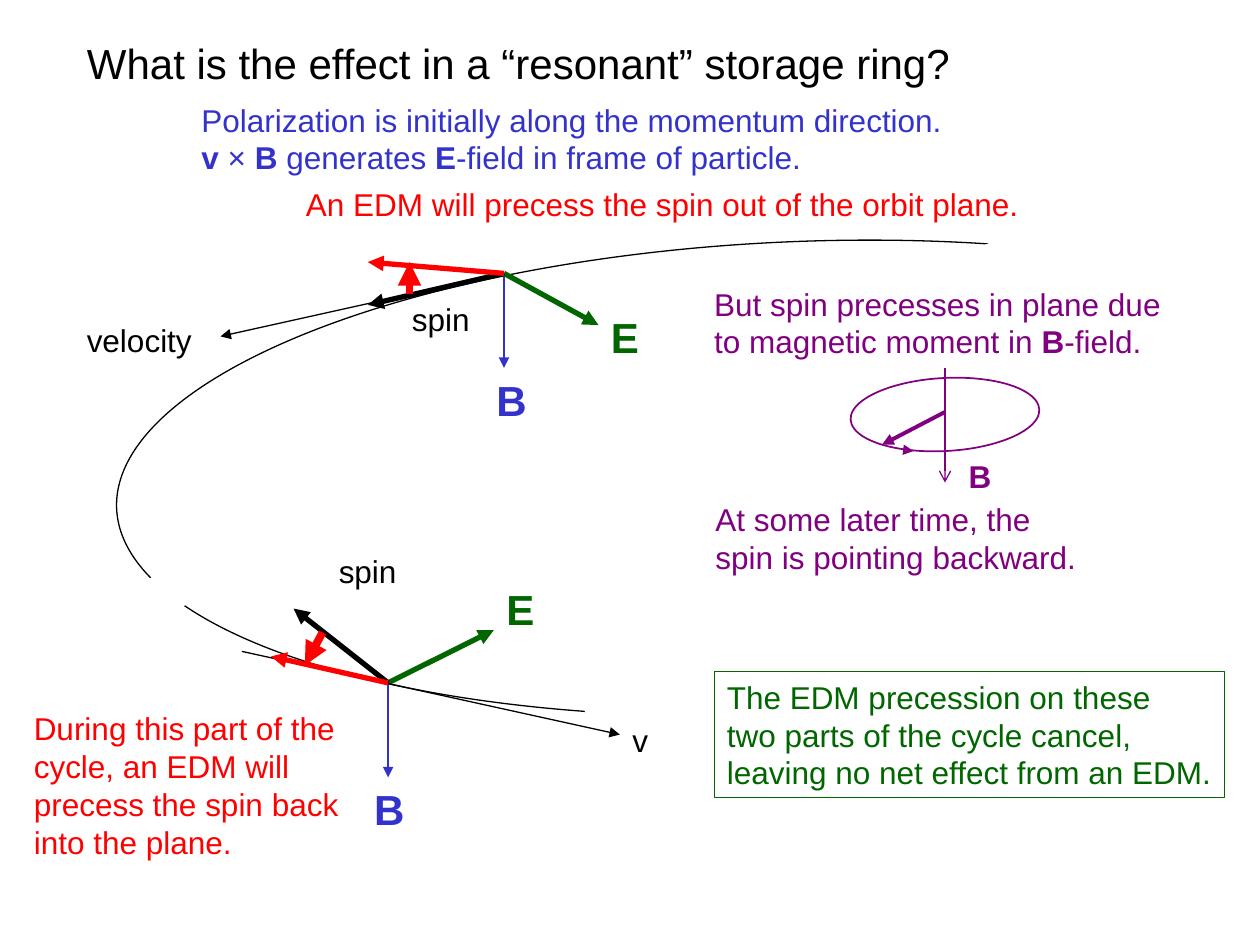
import pptx
import pptx.dml.color
import pptx.enum.shapes
import pptx.enum.text
import pptx.oxml
import pptx.oxml.ns
import pptx.util

Inches = pptx.util.Inches
Shape = pptx.enum.shapes.MSO_SHAPE
Text = pptx.enum.text

HUES = {
    "black": "000000",
    "white": "FFFFFF",
    "blue": "3333CC",
    "green": "006600",
    "red": "FF0000",
    "plum": "800080",
}
FRAME = {
    "word_wrap": False,
    "auto_size": Text.MSO_AUTO_SIZE.SHAPE_TO_FIT_TEXT,
    "vertical_anchor": Text.MSO_ANCHOR.TOP,
    "margin_left": Inches(0.1),
    "margin_right": Inches(0.1),
    "margin_top": Inches(0.05),
    "margin_bottom": Inches(0.05),
}
SLACK = 0.05


def apply(target, values):
    """Set every attribute in values on the target."""
    for name, value in values.items():
        setattr(target, name, value)


def color(hue):
    """Return the named colour."""
    return pptx.dml.color.RGBColor.from_string(HUES[hue])


def place(shape, box):
    """Move and size a shape to a box given in inches."""
    names = ("left", "top", "width", "height")
    apply(shape, dict(zip(names, map(Inches, box))))


def write(shape, lines, hue, size=18, bold=False):
    """Fill a shape with lines, in which asterisks enclose bold words."""
    frame = shape.text_frame
    apply(frame, FRAME)
    for index, line in enumerate(lines):
        para = frame.add_paragraph() if index else frame.paragraphs[0]
        para.alignment = Text.PP_ALIGN.LEFT
        for part, words in enumerate(line.split("*")):
            if words:
                run = para.add_run()
                run.text = words
                apply(run.font, {"name": "Arial", "size": pptx.util.Pt(size),
                                 "bold": bold or part % 2 == 1})
                run.font.color.rgb = color(hue)


def label(slide, box, lines, hue, **style):
    """Add a text box with some slack in its width to keep lines whole."""
    left, top, wide, high = box
    box = (left, top, wide + SLACK, high)
    shape = slide.shapes.add_textbox(*map(Inches, box))
    write(shape, lines, hue, **style)
    place(shape, box)


def outline(slide, kind, box, line=None, width=0.75, fill=None, turn=0):
    """Add a preset shape with optional line and fill."""
    shape = slide.shapes.add_shape(kind, *map(Inches, box))
    shape.shadow.inherit = False
    shape.rotation = turn
    if fill:
        shape.fill.solid()
        shape.fill.fore_color.rgb = color(fill)
    else:
        shape.fill.background()
    if line:
        shape.line.color.rgb = color(line)
        shape.line.width = pptx.util.Pt(width)
    else:
        shape.line.fill.background()
    return shape


def arrow(slide, start, end, hue, width, head="triangle"):
    """Add a straight arrow between two points."""
    kind = pptx.enum.shapes.MSO_CONNECTOR.STRAIGHT
    link = slide.shapes.add_connector(kind, *map(Inches, (*start, *end)))
    link.line.color.rgb = color(hue)
    link.line.width = pptx.util.Pt(width)
    tail = pptx.oxml.parse_xml(
        f'<a:tailEnd {pptx.oxml.ns.nsdecls("a")} type="{head}"/>')
    link.get_or_add_ln().append(tail)
    empty = pptx.oxml.parse_xml(
        f'<a:effectLst {pptx.oxml.ns.nsdecls("a")}/>')
    link._element.spPr.append(empty)


def heading(slide, left, top):
    """Place the title and the three opening lines."""
    title = slide.shapes.title
    write(title, ["What is the effect in a “resonant” storage ring?"],
          "black", size=24)
    place(title, (left, top, 7.05 + SLACK, 0.5))
    label(slide, (left + 0.91, top + 0.5, 6.08, 0.7),
          ["Polarization is initially along the momentum direction.",
           "*v *× *B* generates *E*-field in frame of particle."], "blue")
    label(slide, (left + 1.74, top + 1.17, 5.85, 0.4),
          ["An EDM will precess the spin out of the orbit plane."], "red")


def orbit(slide, left, top):
    """Draw the open ring, with its gaps covered in white."""
    outline(slide, Shape.OVAL, (left, top, 10.75, 3.75), "black", turn=357.4)
    outline(slide, Shape.RECTANGLE, (left + 3.31, top + 0.1, 7.67, 3.75),
            "white", fill="white", turn=335.7)
    outline(slide, Shape.RECTANGLE, (left, top + 2.66, 0.67, 0.33),
            fill="white", turn=327.6)


def vectors(slide, left, top, arrows, labels):
    """Draw arrows and labels around a particle at left, top."""
    for start, end, hue, width in arrows:
        arrow(slide, (left + start[0], top + start[1]),
              (left + end[0], top + end[1]), hue, width)
    for (x, y, wide, high), word, hue in labels:
        big = word in ("B", "E")
        label(slide, (left + x, top + y, wide, high), [word], hue,
              size=24 if big else 18, bold=big)


def plane(slide, left, top):
    """Show the precession in the plane with its two notes."""
    label(slide, (left, top, 3.74, 0.7),
          ["But spin precesses in plane due",
           "to magnetic moment in *B*-field."], "plum")
    outline(slide, Shape.OVAL, (left + 1.18, top + 0.79, 1.5, 0.58),
            "plum", 1, "white", 356.9)
    axis = left + 1.93
    arrow(slide, (axis - 0.33, top + 1.36), (axis - 0.25, top + 1.37),
          "plum", 0.75)
    arrow(slide, (axis, top + 0.71), (axis, top + 1.62),
          "plum", 0.75, "arrow")
    arrow(slide, (axis, top + 1.06), (axis - 0.5, top + 1.32), "plum", 2.25)
    label(slide, (axis + 0.09, top + 1.37, 0.38, 0.4), ["B"], "plum",
          bold=True)
    label(slide, (left + 0.01, top + 1.71, 3.06, 0.7),
          ["At some later time, the", "spin is pointing backward."], "plum")


def result(slide, left, top):
    """Place the framed conclusion."""
    box = (left, top, 4.05, 1)
    shape = outline(slide, Shape.RECTANGLE, box, "green")
    write(shape, ["The EDM precession on these",
                  "two parts of the cycle cancel,",
                  "leaving no net effect from an EDM."], "green")
    place(shape, box)


def main():
    """Build and save the slide."""
    deck = pptx.Presentation()
    apply(deck, {"slide_width": Inches(10), "slide_height": Inches(7.5)})
    slide = deck.slides.add_slide(deck.slide_layouts[5])
    heart = (0, 0)
    orbit(slide, 0.92, 1.92)
    heading(slide, 0.59, 0.25)
    vectors(slide, 4, 2.17, [
        (heart, (0, 0.75), "blue", 1.5),
        (heart, (0.75, 0.41), "green", 3),
        (heart, (-1.08, 0.25), "black", 3),
        (heart, (-2.25, 0.5), "black", 0.75),
        (heart, (-1.08, -0.09), "red", 3),
        ((-0.75, 0.16), (-0.75, -0.09), "red", 4.5),
    ], [
        ((-0.16, 0.75, 0.44, 0.5), "B", "blue"),
        ((0.75, 0.25, 0.42, 0.5), "E", "green"),
        ((-3.41, 0.33, 1.03, 0.4), "velocity", "black"),
        ((-0.83, 0.16, 0.66, 0.4), "spin", "black"),
    ])
    plane(slide, 5.57, 2.21)
    vectors(slide, 3.08, 5.42, [
        (heart, (0, 0.75), "blue", 1.5),
        (heart, (0.84, -0.42), "green", 3),
        (heart, (-0.75, -0.59), "black", 3),
        ((-1.16, -0.25), (1.84, 0.41), "black", 0.75),
        (heart, (-0.93, -0.21), "red", 3),
        ((-0.52, -0.4), (-0.66, -0.14), "red", 4.5),
    ], [
        ((-0.21, 0.75, 0.44, 0.5), "B", "blue"),
        ((0.84, -0.84, 0.42, 0.5), "E", "green"),
        ((-0.49, -1.09, 0.66, 0.4), "spin", "black"),
        ((1.84, 0.25, 0.32, 0.4), "v", "black"),
    ])
    label(slide, (0.17, 5.58, 2.62, 1.3),
          ["During this part of the", "cycle, an EDM will",
           "precess the spin back", "into the plane."], "red")
    result(slide, 5.67, 5.33)
    deck.save("out.pptx")


if __name__ == "__main__":
    main()
